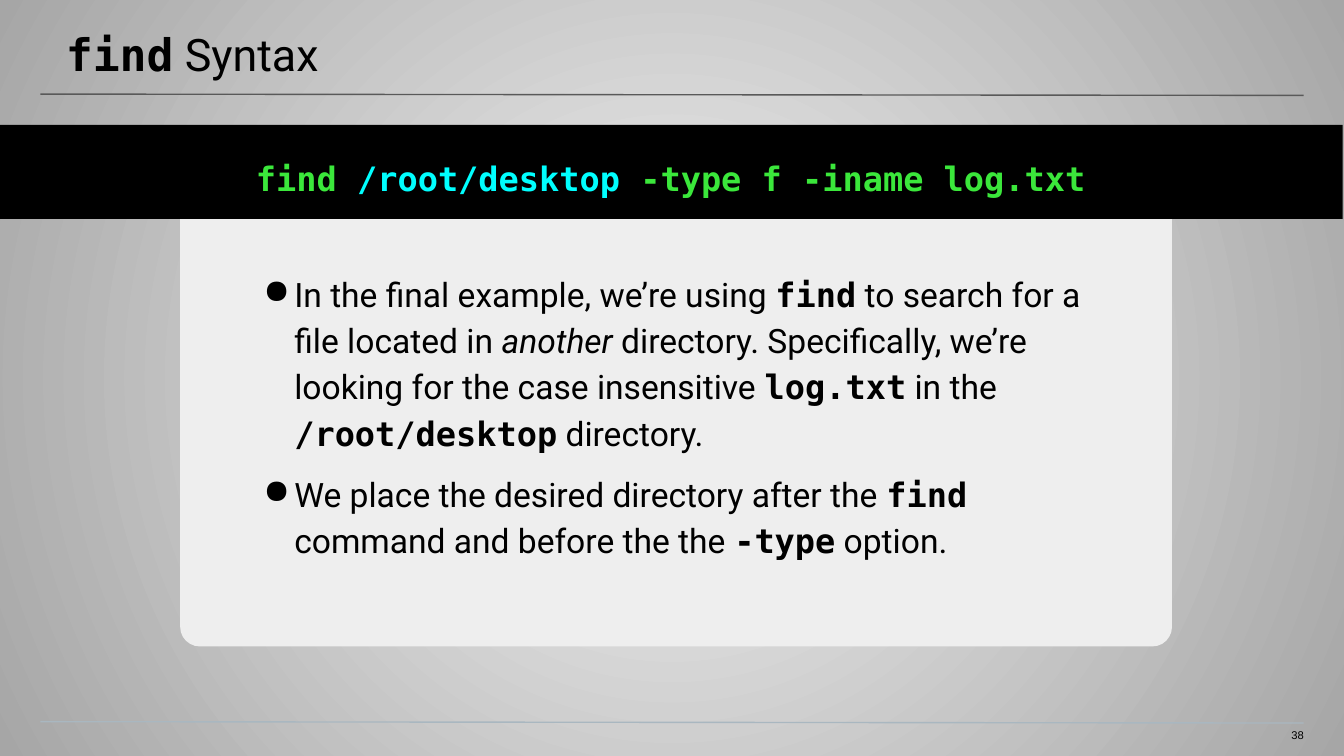
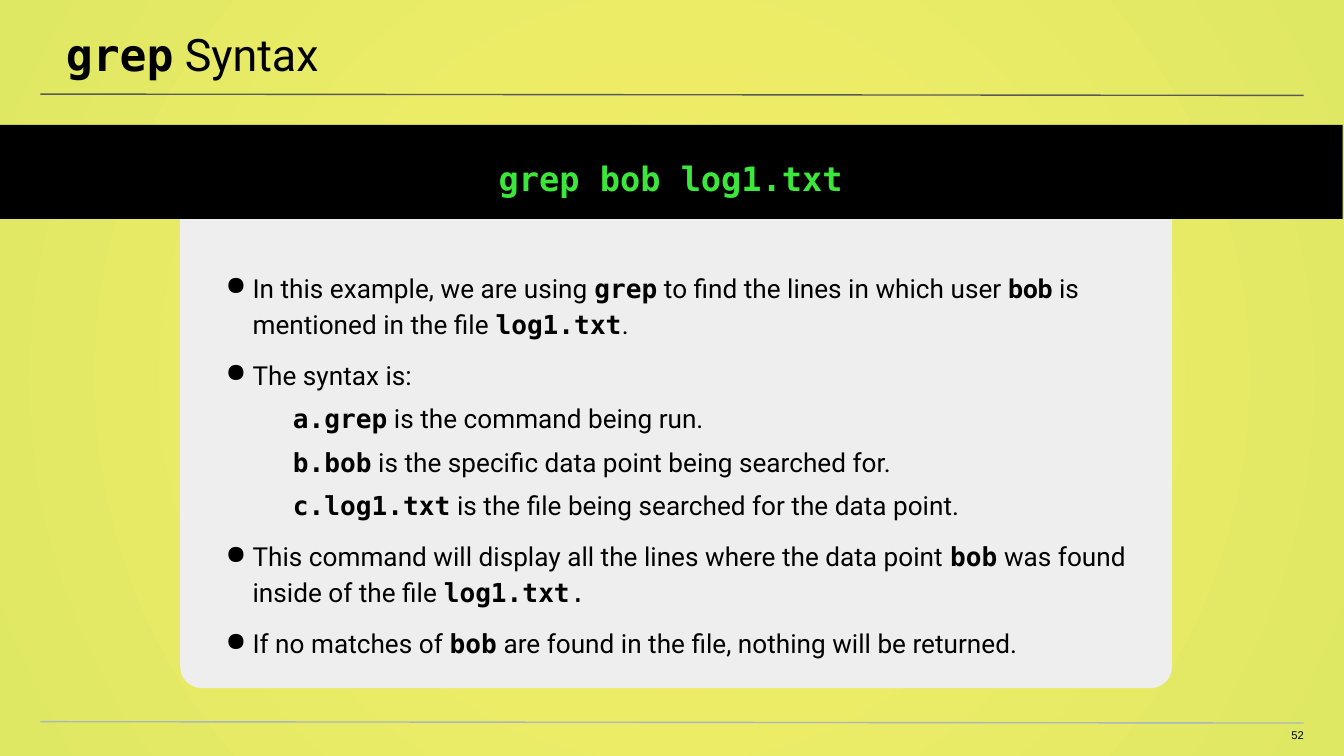
import collections
import dataclasses

import lxml.etree
import pptx
import pptx.dml.color
import pptx.enum.shapes
import pptx.enum.text
import pptx.oxml.ns
import pptx.util

Shape = pptx.enum.shapes.MSO_SHAPE
Align = pptx.enum.text.PP_ALIGN
qn = pptx.oxml.ns.qn
Pt = pptx.util.Pt


@dataclasses.dataclass(frozen=True)
class Theme:
    ink: str = "000000"
    rule: str = "595959"
    foot: str = "A9B7C0"
    card: str = "EEEEEE"
    green: str = "3BE73B"
    cyan: str = "00FFFF"
    sans: str = "Roboto"
    mono: str = "DejaVu Sans Mono"
    plain: str = "Arial"
    title: int = 24
    code: int = 18
    number: int = 6
    leading: float = 1.15


THEME = Theme()

# Run styles: font, bold, italic, colour
Style = collections.namedtuple("Style", "font bold italic color")
TEXT = Style(THEME.sans, False, False, THEME.ink)
BOLD = TEXT._replace(bold=True)
SLANT = TEXT._replace(italic=True)
THIN = TEXT._replace(font=THEME.mono)
CODE = THIN._replace(bold=True)
GREEN = CODE._replace(color=THEME.green)
CYAN = CODE._replace(color=THEME.cyan)
TINY = TEXT._replace(font=THEME.plain)

# Grid: 100 columns by 56.25 rows of square cells
CELL = 0.1
COLS, ROWS = 100, 56.25


def size(cells):
    return pptx.util.Inches(cells * CELL)


class Box(collections.namedtuple("Box", "x y w h")):
    def inner(self, x, y, w, h):
        """A box placed from this box's top left corner."""
        return Box(self.x + x, self.y + y, w, h)

    def emu(self):
        return [size(v) for v in self]


# One paragraph: level, space before, space after, runs
Item = collections.namedtuple("Item", "level before after runs")


def rgb(code):
    return pptx.dml.color.RGBColor.from_string(code)


def add(parent, tag, **attrs):
    return lxml.etree.SubElement(parent, qn(tag), attrs)


def block(slide, kind, box, fill):
    shape = slide.shapes.add_shape(kind, *box.emu())
    shape.shadow.inherit = False
    shape.fill.solid()
    shape.fill.fore_color.rgb = rgb(fill)
    shape.line.fill.background()
    return shape


def line(slide, box, color):
    x, y, w, h = box.emu()
    rule = slide.shapes.add_connector(
        pptx.enum.shapes.MSO_CONNECTOR.STRAIGHT, x, y, x + w, y + h)
    rule.line.color.rgb = rgb(color)
    rule.line.width = Pt(0.75)
    add(rule._element.spPr, "a:effectLst")


def setup(shape, left, top, right, bottom):
    frame = shape.text_frame
    frame.word_wrap = True
    frame.vertical_anchor = pptx.enum.text.MSO_ANCHOR.TOP
    frame.margin_left, frame.margin_top = size(left), size(top)
    frame.margin_right, frame.margin_bottom = size(right), size(bottom)
    return frame


def write(para, runs, points):
    for text, style in runs:
        run = para.add_run()
        run.text = text
        run.font.name, run.font.size = style.font, Pt(points)
        run.font.bold, run.font.italic = style.bold, style.italic
        run.font.color.rgb = rgb(style.color)


def label(slide, box, pads, runs, points, align=Align.LEFT):
    frame = setup(slide.shapes.add_textbox(*box.emu()), *pads)
    para = frame.paragraphs[0]
    para.alignment = align
    write(para, runs, points)


def bullet(para, level, hang):
    props = para._p.get_or_add_pPr()
    props.set("marL", str(size(3.5 + 5 * level)))
    props.set("indent", str(size(-hang)))
    add(add(props, "a:buClr"), "a:srgbClr", val=THEME.ink)
    if level:
        para.level = level
        add(props, "a:buAutoNum", type="alphaLcPeriod")
    else:
        add(props, "a:buChar", char="●")


def glow(slide, centre, edge, alpha=None):
    """Radial background from the centre outwards."""
    fill = slide.background.fill
    fill.gradient()
    grad = next(slide.element.iter(qn("a:gradFill")))
    for child in list(grad):
        grad.remove(child)
    stops = add(grad, "a:gsLst")
    for place, color, clear in ((0, centre, alpha), (100, edge, None)):
        stop = add(stops, "a:gs", pos=str(place * 1000))
        tint = add(stop, "a:srgbClr", val=color)
        if clear:
            add(tint, "a:alpha", val=str(clear * 1000))
    ring = add(grad, "a:path", path="circle")
    add(ring, "a:fillToRect", **dict.fromkeys("ltrb", "50000"))


def frame(slide, page, word, number):
    """Rules, title and slide number."""
    line(slide, page.inner(3, 7, 94, 0.1), THEME.rule)
    line(slide, page.inner(3, 53.7, 94, 0.1), THEME.foot)
    label(slide, page.inner(-0.1, 0, 100.3, 5.8), (5, 2, 3, 1),
          [(word, CODE), (" Syntax", TEXT)], THEME.title)
    label(slide, page.inner(94.1, 54.2, 2.9, 1.2), (0, 0, 0, 1),
          [(number, TINY)], THEME.number, Align.RIGHT)


def band(slide, box, runs):
    """Black strip with the command."""
    strip = block(slide, Shape.RECTANGLE, box, THEME.ink)
    para = setup(strip, 1, 2, 1, 2).paragraphs[0]
    para.alignment = Align.CENTER
    para.line_spacing = THEME.leading
    write(para, runs, THEME.code)


def card(slide, box):
    """Panel with round lower corners."""
    panel = block(slide, Shape.ROUND_2_SAME_RECTANGLE, box, THEME.card)
    panel.rotation = 180
    panel.adjustments[0], panel.adjustments[1] = 0.045, 0


def notes(slide, box, items, points, hang):
    """Bulleted explanation."""
    body = setup(slide.shapes.add_textbox(*box.emu()), 5, 0, 5, 10)
    for spot, item in enumerate(items):
        para = body.add_paragraph() if spot else body.paragraphs[0]
        bullet(para, item.level, hang)
        para.line_spacing = THEME.leading
        para.space_before = Pt(item.before)
        para.space_after = Pt(item.after)
        write(para, item.runs, points)


def lesson(deck, tones, word, number, code, items, tall, text, points, hang):
    """One syntax slide; text is the notes box within the card."""
    slide = deck.slides.add_slide(deck.slide_layouts[6])
    page = Box(0, 0, COLS, ROWS)
    panel = page.inner(13.4, 15.7, 73.8, tall)
    glow(slide, *tones)
    frame(slide, page, word, number)
    card(slide, panel)
    band(slide, page.inner(-0.1, 9.3, 100, 7), code)
    notes(slide, panel.inner(*text), items, points, hang)


FIND = [
    Item(0, 0, 0, [
        ("In the final example, we’re using ", TEXT), ("find", CODE),
        (" to search for a file located in ", TEXT), ("another", SLANT),
        (" directory. Specifically, we’re looking for the case insensitive ", TEXT),
        ("log.txt", CODE), (" in the ", TEXT),
        ("/root/desktop", CODE), (" directory.", TEXT)]),
    Item(0, 8, 8, [
        ("We place the desired directory after the ", TEXT), ("find", CODE),
        (" command and before the the ", TEXT), ("-type", CODE),
        (" option.", TEXT)]),
]

TERMS = [
    ("grep", " is the command being run."),
    ("bob", " is the specific data point being searched for."),
    ("log1.txt", " is the file being searched for the data point."),
]

GREP = [
    Item(0, 0, 0, [
        ("In this example, we are using ", TEXT), ("grep", CODE),
        (" to find the lines in which user ", TEXT), ("bob", BOLD),
        (" is mentioned in the file ", TEXT), ("log1.txt", CODE), (".", TEXT)]),
    Item(0, 8, 0, [("The syntax is:", TEXT)]),
    *(Item(1, 4, 0, [(word, CODE), (rest, TEXT)]) for word, rest in TERMS),
    Item(0, 8, 0, [
        ("This command will display all the lines where the data point ", TEXT),
        ("bob", CODE), (" was found inside of the file ", TEXT),
        ("log1.txt", CODE), (".", THIN)]),
    Item(0, 8, 4, [
        ("If no matches of ", TEXT), ("bob", CODE),
        (" are found in the file, nothing will be returned.", TEXT)]),
]


def main():
    deck = pptx.Presentation()
    deck.slide_width, deck.slide_height = size(COLS), size(ROWS)
    lesson(deck, ("F2F2F2", "A6A6A6"), "find", "38",
           [("find ", GREEN), ("/root/desktop", CYAN),
            (" -type f -iname log.txt", GREEN)],
           FIND, tall=32.4, text=(0, 4.2, 74.6, 25.7), points=18, hang=2.3)
    lesson(deck, ("F7EF6A", "DFE863", 50), "grep", "52",
           [("grep bob log1.txt", GREEN)],
           GREP, tall=35.5, text=(-3.1, 4.2, 80.4, 32.9), points=14, hang=2)
    deck.save("out.pptx")


if __name__ == "__main__":
    main()
